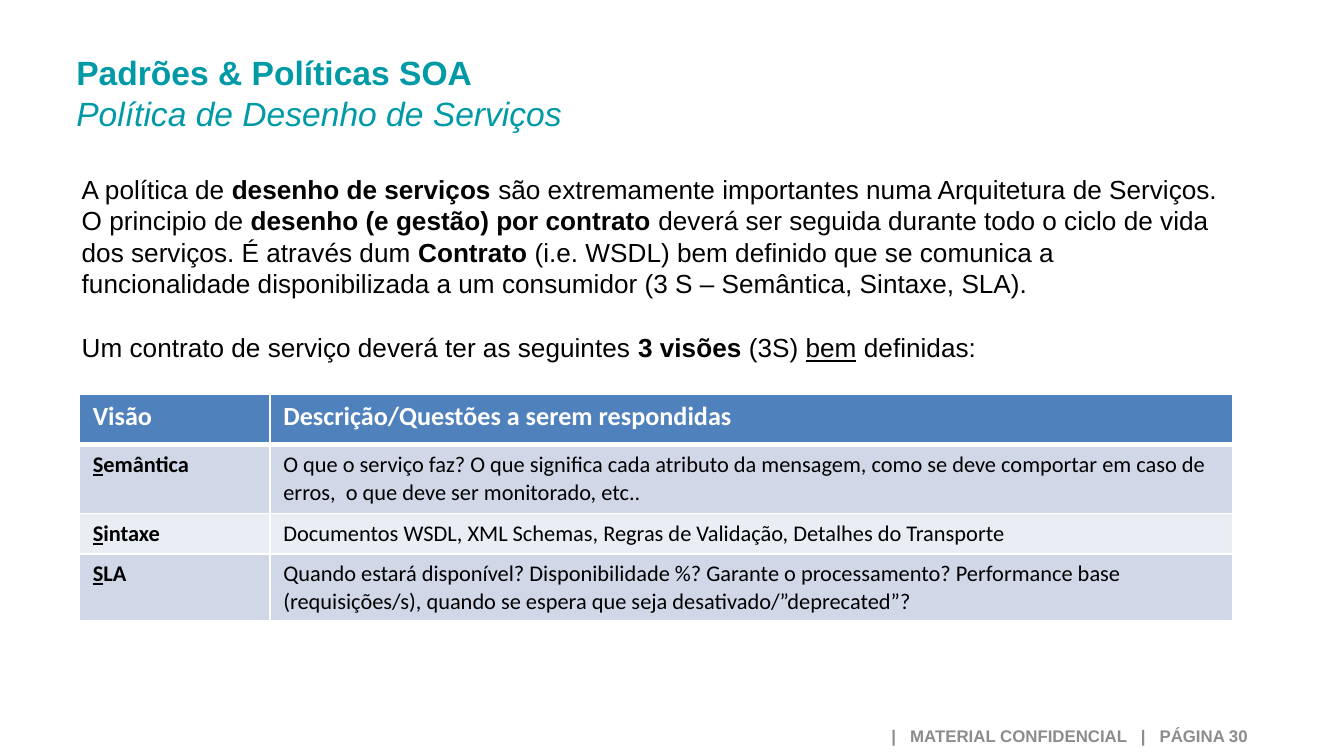
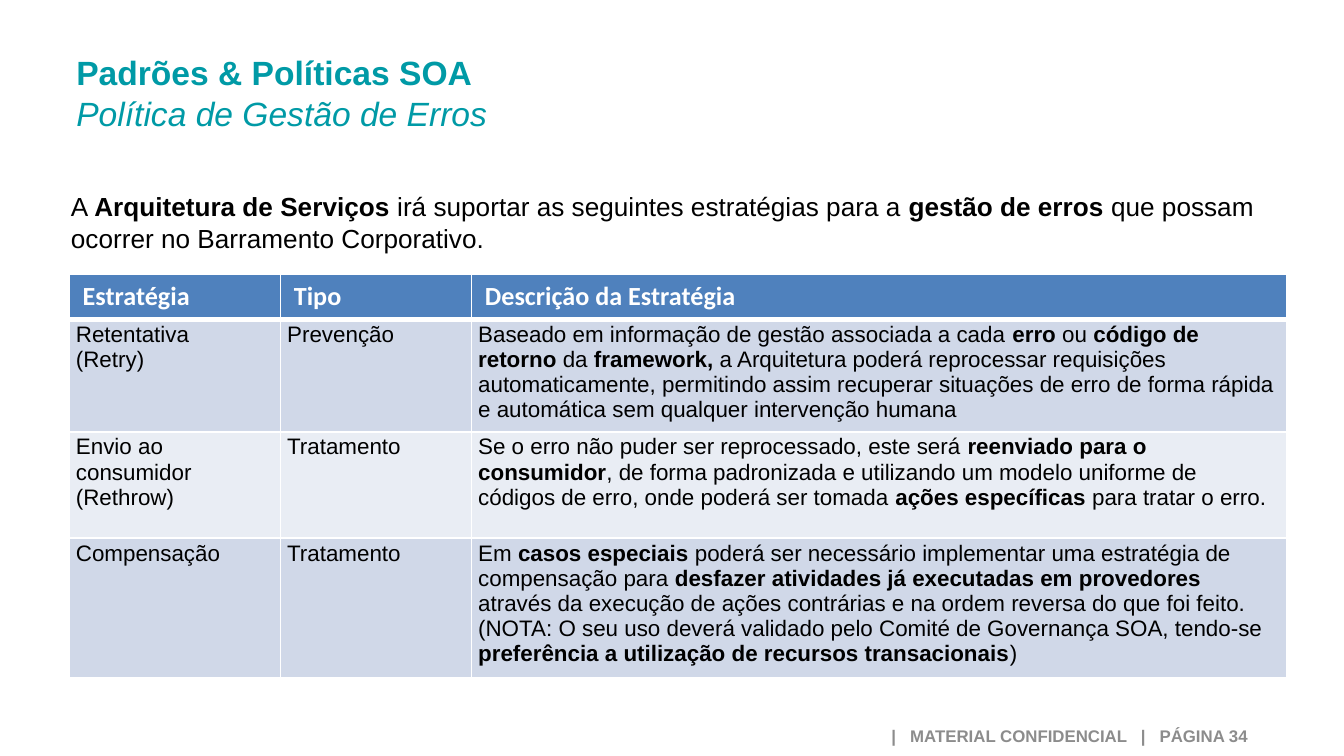
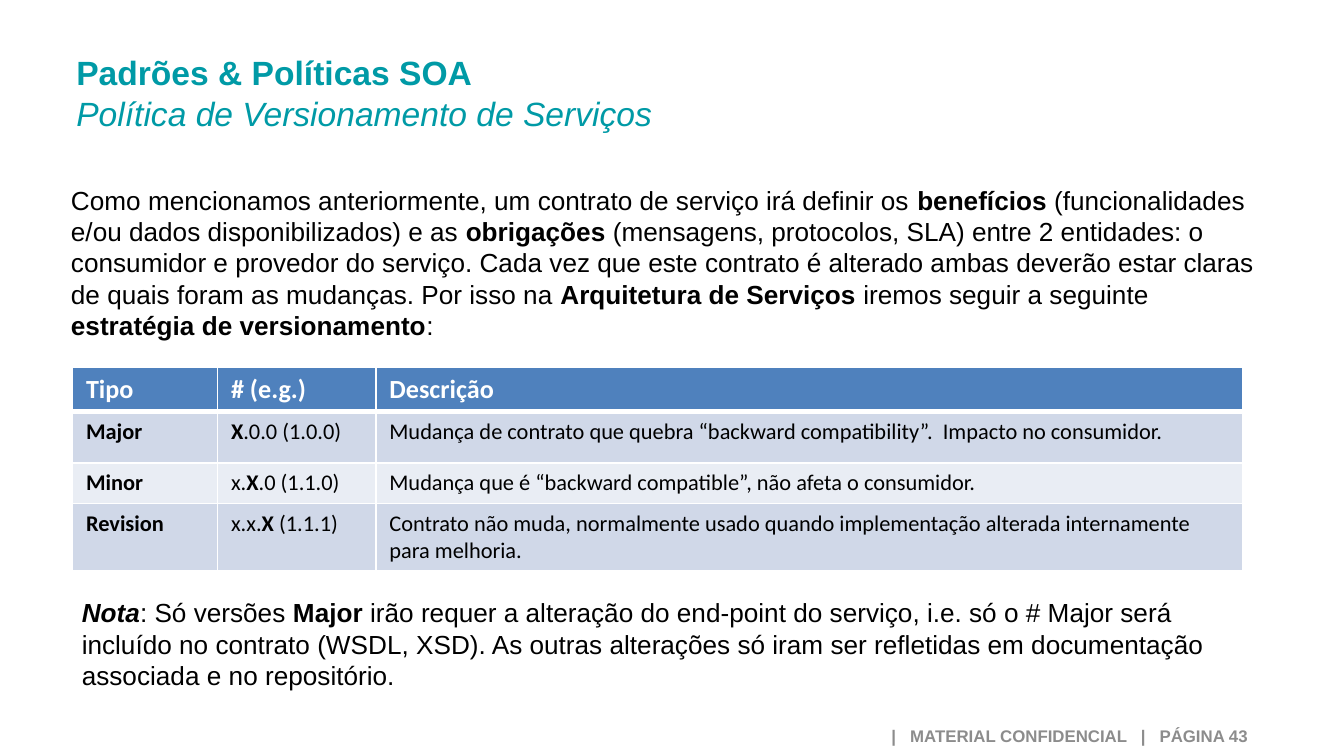
import dataclasses

import pptx
import pptx.dml.color
import pptx.enum.text
import pptx.oxml
import pptx.oxml.ns
import pptx.util


@dataclasses.dataclass(frozen=True)
class Style:
    font: str
    size: float
    color: str
    bold: bool = False


class Theme:
    teal, gray = "009AA6", "8C8C8C"
    black, white = "000000", "FFFFFF"
    header_fill = "4F81BD"
    band_fills = ("D0D8E8", "E9EDF4")
    rule, heavy_rule = 1, 3  # points
    title = Style("Arial", 18, teal)
    body = Style("Arial", 14, black)
    footer = Style("Arial", 9, gray, bold=True)
    header = Style("Calibri", 14, white, bold=True)
    cell = Style("Calibri", 12, black)
    dense_cell = Style("Arial", 12, black)


# A 16:9 slide on a grid of 100 columns by 56.25 rows
COLUMNS, ROWS = 100, 56.25
WIDTH = pptx.util.Inches(10)
HEIGHT = WIDTH * 9 // 16


@dataclasses.dataclass(frozen=True)
class Box:
    left: float
    top: float
    width: float
    height: float

    def place(self):
        return (int(self.left * WIDTH / COLUMNS), int(self.top * HEIGHT / ROWS),
                int(self.width * WIDTH / COLUMNS), int(self.height * HEIGHT / ROWS))


TITLE_BOX = Box(4.7, 3.4, 74, 7.1)
FOOTER_BOX = Box(51.6, 53.3, 42.2, 2.9)
DENSE_INSETS = (0.5, 0.2)  # columns, rows


def add_run(paragraph, words, style, marks):
    run = paragraph.add_run()
    run.text = words
    run.font.name = style.font
    run.font.size = pptx.util.Pt(style.size)
    run.font.color.rgb = pptx.dml.color.RGBColor.from_string(style.color)
    run.font.bold = style.bold or "*" in marks
    run.font.italic = "~" in marks
    run.font.underline = "_" in marks


def write_paragraph(paragraph, marked, style):
    """Marks switch on and off: * bold, ~ italic, _ underline."""
    words, marks = "", set()
    for letter in marked:
        if letter not in "*~_":
            words += letter
            continue
        if words:
            add_run(paragraph, words, style, marks)
        words = ""
        marks ^= {letter}
    if words:
        add_run(paragraph, words, style, marks)


def add_text(slide, box, marked, style):
    frame = slide.shapes.add_textbox(*box.place()).text_frame
    frame.word_wrap = True
    write_paragraph(frame.paragraphs[0], marked, style)
    return frame


# Title and footer, shared by every slide
def add_title(slide, subject):
    frame = add_text(slide, TITLE_BOX, "*Padrões & Políticas SOA*", Theme.title)
    heading = frame.paragraphs[0]
    heading.add_line_break()
    write_paragraph(heading, f"~{subject}~", Theme.title)


def add_footer(slide, page):
    frame = add_text(slide, FOOTER_BOX,
                     f" |   MATERIAL CONFIDENCIAL   |   PÁGINA {page}", Theme.footer)
    frame.vertical_anchor = pptx.enum.text.MSO_ANCHOR.MIDDLE
    frame.paragraphs[0].alignment = pptx.enum.text.PP_ALIGN.RIGHT


# Tables with a dark header and alternating bands
def set_borders(cell, top, bottom):
    properties = cell._tc.get_or_add_tcPr()
    rules = {"L": Theme.rule, "R": Theme.rule, "T": top, "B": bottom}
    for side, points in rules.items():
        properties.append(pptx.oxml.parse_xml(
            f'<a:ln{side} {pptx.oxml.ns.nsdecls("a")} w="{pptx.util.Pt(points)}">'
            f'<a:solidFill><a:srgbClr val="{Theme.white}"/></a:solidFill></a:ln{side}>'))


def fill_cell(cell, marked, row, style, insets):
    is_header = row == 0
    set_borders(cell,
                top=Theme.heavy_rule if row == 1 else Theme.rule,
                bottom=Theme.heavy_rule if is_header else Theme.rule)
    color = Theme.header_fill if is_header else Theme.band_fills[(row - 1) % 2]
    cell.fill.solid()
    cell.fill.fore_color.rgb = pptx.dml.color.RGBColor.from_string(color)
    if insets and not is_header:
        cell.margin_left = cell.margin_right = int(insets[0] * WIDTH / COLUMNS)
        cell.margin_top = cell.margin_bottom = int(insets[1] * HEIGHT / ROWS)
    frame = cell.text_frame
    for index, line in enumerate(marked.split("\n")):
        paragraph = frame.add_paragraph() if index else frame.paragraphs[0]
        write_paragraph(paragraph, line, Theme.header if is_header else style)


def add_banded_table(slide, box, column_shares, row_shares, rows,
                     style=Theme.cell, insets=None):
    left, top, width, height = box.place()
    table = slide.shapes.add_table(len(rows), len(rows[0]),
                                   left, top, width, height).table
    for column, share in zip(table.columns, column_shares):
        column.width = int(width * share / sum(column_shares))
    for row, share in zip(table.rows, row_shares):
        row.height = int(height * share / sum(row_shares))
    for row, entries in enumerate(rows):
        for column, marked in enumerate(entries):
            fill_cell(table.cell(row, column), marked, row, style, insets)


# Service design: the three views of a contract
def build_design(slide):
    add_text(slide, Box(5.1, 12.4, 86.6, 10.4),
             "A política de *desenho de serviços* são extremamente importantes numa "
             "Arquitetura de Serviços. O principio de *desenho (e gestão) por contrato "
             "*deverá ser seguida durante todo o ciclo de vida dos serviços. É através "
             "dum *Contrato* (i.e. WSDL) bem definido que se comunica a funcionalidade "
             "disponibilizada a um consumidor (3 S – Semântica, Sintaxe, SLA).",
             Theme.body)
    add_text(slide, Box(5.1, 24.2, 86.6, 3.4),
             "Um contrato de serviço deverá ter as seguintes *3 visões *(3S) _bem_ "
             "definidas:", Theme.body)
    add_banded_table(slide, Box(5.9, 29.3, 85.8, 16.9), (14.2, 71.7), (3.8, 5.1, 3, 5), [
        ("Visão", "Descrição/Questões a serem respondidas"),
        ("*_S_emântica*",
         "O que o serviço faz? O que significa cada atributo da mensagem, como se deve "
         "comportar em caso de erros,  o que deve ser monitorado, etc.."),
        ("*_S_intaxe*",
         "Documentos WSDL, XML Schemas, Regras de Validação, Detalhes do Transporte"),
        ("*_S_LA*",
         "Quando estará disponível? Disponibilidade %? Garante o processamento? "
         "Performance base (requisições/s), quando se espera que seja "
         "desativado/”deprecated”?"),
    ])


# Error handling strategies
def build_errors(slide):
    add_text(slide, Box(4.3, 13.7, 91.3, 5.7),
             "A *Arquitetura de Serviços *irá suportar as seguintes estratégias para a "
             "*gestão de erros *que possam ocorrer no Barramento Corporativo.",
             Theme.body)
    add_banded_table(slide, Box(5.15, 20.4, 90.6, 28.8), (15.7, 14.2, 60.6),
                     (3.3, 7.9, 7.9, 9.7), [
        ("Estratégia", "Tipo", "Descrição da Estratégia"),
        ("Retentativa\n(Retry)", "Prevenção",
         "Baseado em informação de gestão associada a cada *erro* ou *código de "
         "retorno* da *framework, *a Arquitetura poderá reprocessar requisições "
         "automaticamente, permitindo assim recuperar situações de erro de forma "
         "rápida e automática sem qualquer intervenção humana"),
        ("Envio ao consumidor\n(Rethrow)", "Tratamento",
         "Se o erro não puder ser reprocessado, este será *reenviado para o "
         "consumidor*, de forma padronizada e utilizando um modelo uniforme de códigos "
         "de erro, onde poderá ser tomada *ações específicas *para tratar o erro."),
        ("Compensação", "Tratamento",
         "Em *casos especiais *poderá ser necessário implementar uma estratégia de "
         "compensação para *desfazer atividades já executadas em provedores *através "
         "da execução de ações contrárias e na ordem reversa do que foi feito.\n"
         "(NOTA: O seu uso deverá validado pelo Comité de Governança SOA, tendo-se "
         "*preferência a utilização de recursos transacionais*)"),
    ], Theme.dense_cell, DENSE_INSETS)


# Service versioning, with a closing note
def build_versioning(slide):
    add_text(slide, Box(4.3, 13.2, 91.3, 12.8),
             "Como mencionamos anteriormente, um contrato de serviço irá definir os "
             "*benefícios *(funcionalidades e/ou dados disponibilizados) e as "
             "*obrigações *(mensagens, protocolos, SLA) entre 2 entidades: o consumidor "
             "e provedor do serviço. Cada vez que este contrato é alterado ambas deverão "
             "estar claras de quais foram as mudanças. Por isso na *Arquitetura de "
             "Serviços *iremos seguir a seguinte *estratégia de versionamento*:",
             Theme.body)
    add_banded_table(slide, Box(5.4, 27.3, 87.1, 15.2), (10.8, 11.8, 64.6),
                     (3.35, 3.8, 3, 5.05), [
        ("Tipo", "# (e.g.)", "Descrição"),
        ("*Major*", "*X*.0.0 (1.0.0)",
         "Mudança de contrato que quebra “backward compatibility”.  Impacto no "
         "consumidor."),
        ("*Minor*", "x.*X*.0 (1.1.0)",
         "Mudança que é “backward compatible”, não afeta o consumidor."),
        ("*Revision*", "x.x.*X* (1.1.1)",
         "Contrato não muda, normalmente usado quando implementação alterada "
         "internamente para melhoria."),
    ])
    add_text(slide, Box(5.1, 43.9, 88.2, 8.1),
             "*~Nota~*: Só versões *Major* irão requer a alteração do end-point do "
             "serviço, i.e. só o # Major será incluído no contrato (WSDL, XSD). As outras "
             "alterações só iram ser refletidas em documentação associada e no "
             "repositório.", Theme.body)


POLICIES = (
    ("Política de Desenho de Serviços", 30, build_design),
    ("Política de Gestão de Erros", 34, build_errors),
    ("Política de Versionamento de Serviços", 43, build_versioning),
)


def main():
    deck = pptx.Presentation()
    deck.slide_width, deck.slide_height = WIDTH, HEIGHT
    blank = deck.slide_layouts[6]
    for subject, page, build_content in POLICIES:
        slide = deck.slides.add_slide(blank)
        add_footer(slide, page)
        build_content(slide)
        add_title(slide, subject)
    deck.save("out.pptx")


if __name__ == "__main__":
    main()
